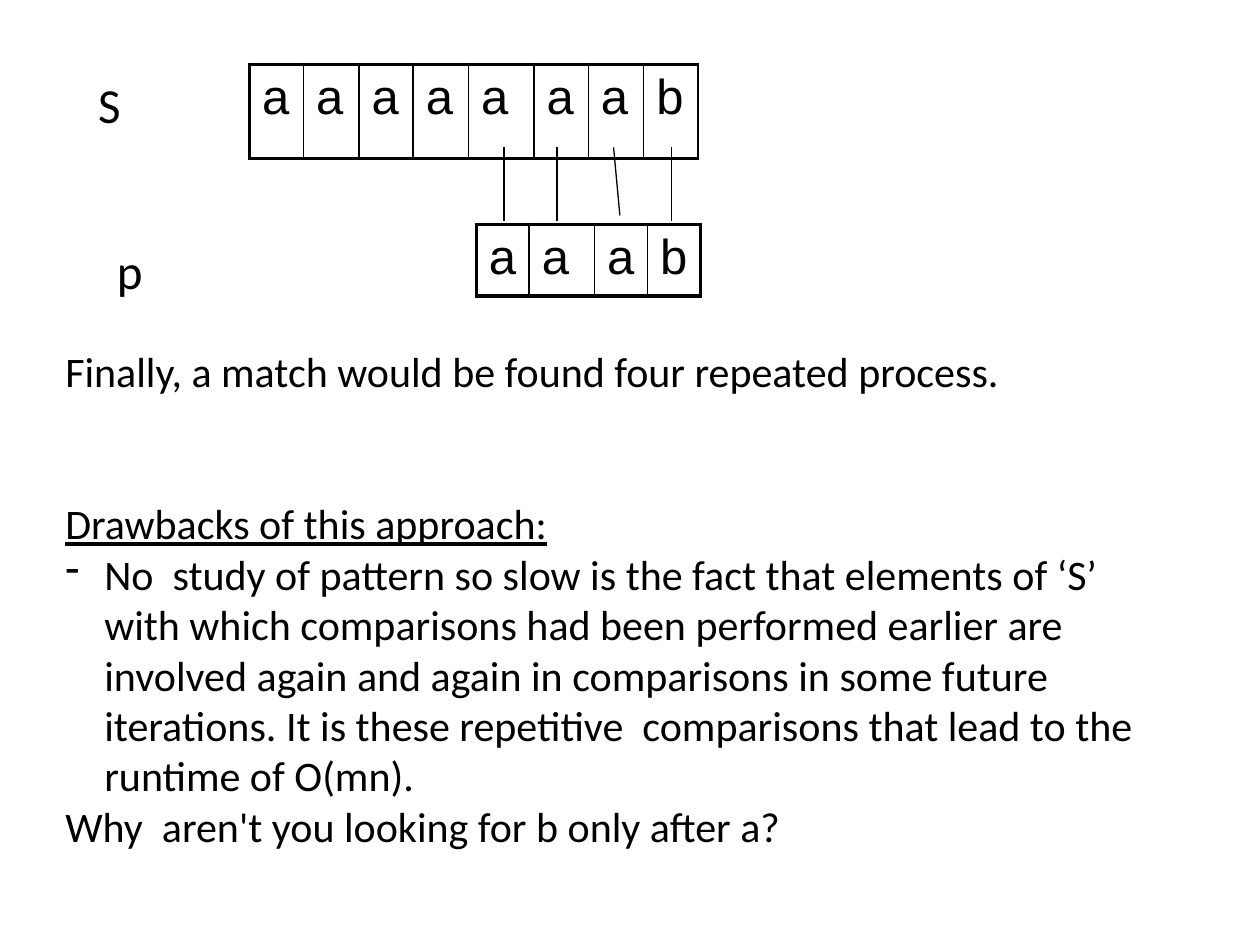
from dataclasses import dataclass

from pptx import Presentation
from pptx.dml.color import RGBColor
from pptx.enum.shapes import MSO_CONNECTOR
from pptx.enum.text import MSO_ANCHOR
from pptx.oxml.ns import qn
from pptx.util import Inches, Pt
from lxml import etree

STRAIGHT = MSO_CONNECTOR.STRAIGHT
TOP = MSO_ANCHOR.TOP


@dataclass(frozen=True)
class Theme:
    ink: str = "000000"
    text_font: str = "Calibri"
    cell_font: str = "Arial"
    large: float = 28
    body: float = 24
    thin: float = 1
    thick: float = 2.25
    link: float = 0.75


class SlideBuilder:
    def __init__(self, page, theme):
        self.page = page
        self.theme = theme

    def add_span(self, para, text, size, font, underline=False):
        span = para.add_run()
        span.text = text
        span.font.size = Pt(size)
        span.font.name = font
        span.font.color.rgb = RGBColor.from_string(self.theme.ink)
        if underline:
            span.font.underline = True

    def text_frame(self, left, top, width, height, wrap=True):
        box = self.page.shapes.add_textbox(
            Inches(left), Inches(top), Inches(width), Inches(height))
        box.text_frame.word_wrap = wrap
        return box.text_frame

    def label(self, text, left, top):
        frame = self.text_frame(left, top, 0.42, 0.57, wrap=False)
        self.add_span(frame.paragraphs[0], text, self.theme.large, self.theme.text_font)

    def body(self, entries, left, top, width, height):
        frame = self.text_frame(left, top, width, height)
        for index, (text, space, underline, dash) in enumerate(entries):
            para = frame.add_paragraph() if index else frame.paragraphs[0]
            para.space_before = Pt(space)
            if dash:
                self.add_dash(para)
            self.add_span(para, text, self.theme.body, self.theme.text_font, underline)

    def add_dash(self, para):
        properties = para._p.get_or_add_pPr()
        indent = Inches(0.31)
        properties.set("marL", str(indent))
        properties.set("indent", str(-indent))
        etree.SubElement(properties, qn("a:buChar")).set("char", "-")

    def link(self, start_x, start_y, end_x, end_y):
        line = self.page.shapes.add_connector(
            STRAIGHT, Inches(start_x), Inches(start_y), Inches(end_x), Inches(end_y))
        line.line.color.rgb = RGBColor.from_string(self.theme.ink)
        line.line.width = Pt(self.theme.link)
        etree.SubElement(line._element.spPr, qn("a:effectLst"))

    def letter_row(self, letters, widths, left, top, height, right_edge):
        table = self.page.shapes.add_table(
            1, len(letters), Inches(left), Inches(top),
            Inches(sum(widths)), Inches(height)).table
        table.first_row = False
        table.horz_banding = False
        table.rows[0].height = Inches(height)
        thin, thick = self.theme.thin, self.theme.thick
        last = len(letters) - 1
        for index, (letter, width) in enumerate(zip(letters, widths)):
            table.columns[index].width = Inches(width)
            cell = table.cell(0, index)
            cell.vertical_anchor = TOP
            self.add_span(cell.text_frame.paragraphs[0], letter,
                          self.theme.large, self.theme.cell_font)
            self.add_borders(cell, {
                "lnL": thin if index else thick,
                "lnR": right_edge if index == last else thin,
                "lnT": thick,
                "lnB": thick,
            })
            cell.fill.background()

    def add_borders(self, cell, borders):
        properties = cell._tc.get_or_add_tcPr()
        for side, points in borders.items():
            border = etree.SubElement(properties, qn("a:" + side))
            border.set("w", str(Pt(points)))
            fill = etree.SubElement(border, qn("a:solidFill"))
            etree.SubElement(fill, qn("a:srgbClr")).set("val", self.theme.ink)


deck = Presentation()
deck.slide_width = Inches(10)
deck.slide_height = Inches(7.5)
theme = Theme()
slide = SlideBuilder(deck.slides.add_slide(deck.slide_layouts[6]), theme)

slide.label("S", 0.68, 0.54)
slide.label("p", 0.83, 1.86)

for top_x, bottom_x, bottom_y in [
    (4, 4, 1.75), (4.42, 4.42, 1.75), (4.87, 4.92, 1.71), (5.33, 5.33, 1.75),
]:
    slide.link(bottom_x, bottom_y, top_x, 1.17)

slide.body([
    ("Finally, a match would be found four repeated process.", 0, False, False),
    ("Drawbacks of this approach:", 58.5, True, False),
    ("No  study of pattern so slow is the fact that elements of ‘S’ with which "
     "comparisons had been performed earlier are involved again and again in "
     "comparisons in some future iterations. It is these repetitive  comparisons "
     "that lead to the runtime of O(mn).", 0, False, True),
    ("Why  aren't you looking for b only after a?", 0, False, False),
], 0.42, 2.69, 9, 4.2)

slide.letter_row("aaaaaaab", [0.43, 0.44, 0.43, 0.44, 0.52, 0.43, 0.44, 0.43],
                 1.98, 0.51, 0.75, theme.thin)
slide.letter_row("aaab", [0.42, 0.52, 0.42, 0.42], 3.78, 1.78, 0.57, theme.thick)

deck.save("out.pptx")
